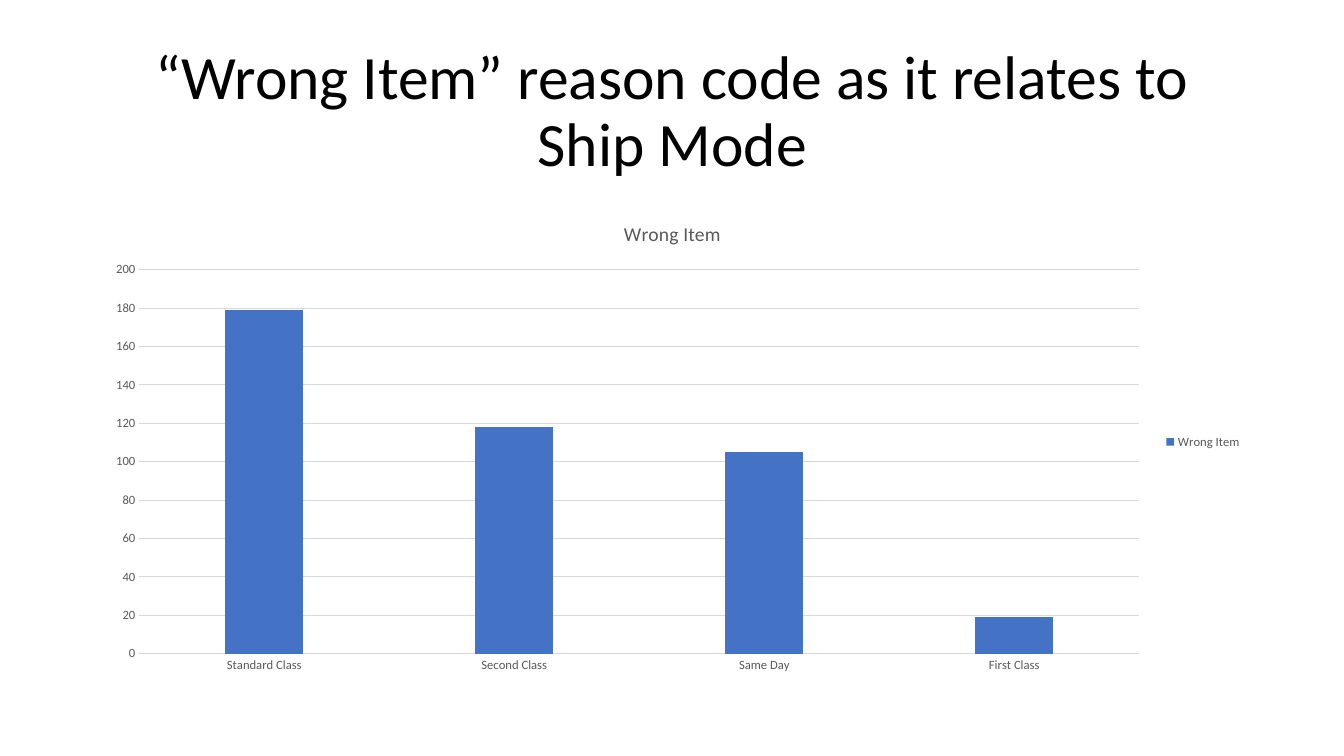
import pptx
import pptx.chart.data
import pptx.dml.color
import pptx.enum.chart
import pptx.enum.text
import pptx.util
from dataclasses import dataclass

EMU_PER_PX = 914400 / 100.8


@dataclass(frozen=True)
class Theme:
    font: str = "Calibri"
    ink: str = "000000"
    muted: str = "595959"
    grid: str = "D9D9D9"
    bar: str = "4472C4"
    heading_size: int = 44
    chart_title_size: int = 14
    label_size: int = 9


theme = Theme()


def px(length):
    return pptx.util.Emu(round(length * EMU_PER_PX))


def write_text(frame, text, *, size, color, spacing=None):
    frame.text = text
    paragraph = frame.paragraphs[0]
    paragraph.alignment = pptx.enum.text.PP_ALIGN.CENTER
    paragraph.line_spacing = spacing
    font = paragraph.runs[0].font
    font.name = theme.font
    font.size = pptx.util.Pt(size)
    font.bold = False
    font.color.rgb = pptx.dml.color.RGBColor.from_string(color)


# Slide
presentation = pptx.Presentation()
presentation.slide_width = px(1344)
presentation.slide_height = px(756)
slide = presentation.slides.add_slide(presentation.slide_layouts[5])

# Title
title = slide.shapes.title
title.left, title.top, title.width, title.height = px(93), px(40), px(1159), px(146)
title.text_frame.word_wrap = True
title.text_frame.auto_size = pptx.enum.text.MSO_AUTO_SIZE.NONE
title.text_frame.vertical_anchor = pptx.enum.text.MSO_ANCHOR.MIDDLE
write_text(title.text_frame, "“Wrong Item” reason code as it relates to Ship Mode",
           size=theme.heading_size, color=theme.ink, spacing=0.9)

# Chart data
chart_data = pptx.chart.data.CategoryChartData()
chart_data.categories = ["Standard Class", "Second Class", "Same Day", "First Class"]
chart_data.add_series("Wrong Item", [179, 118, 105, 19])
chart = slide.shapes.add_chart(
    pptx.enum.chart.XL_CHART_TYPE.COLUMN_CLUSTERED,
    px(93), px(202), px(1159), px(480), chart_data).chart

# Chart text and legend
chart.font.name = theme.font
chart.font.size = pptx.util.Pt(theme.label_size)
chart.font.color.rgb = pptx.dml.color.RGBColor.from_string(theme.muted)
chart.has_title = True
write_text(chart.chart_title.text_frame, "Wrong Item",
           size=theme.chart_title_size, color=theme.muted)
chart.chart_title.include_in_layout = False
chart.has_legend = True
chart.legend.position = pptx.enum.chart.XL_LEGEND_POSITION.RIGHT
chart.legend.include_in_layout = False

# Columns
plot = chart.plots[0]
plot.vary_by_categories = False
plot.gap_width = 219
plot.overlap = -27
bar_fill = plot.series[0].format.fill
bar_fill.solid()
bar_fill.fore_color.rgb = pptx.dml.color.RGBColor.from_string(theme.bar)

# Axes and gridlines
category_axis, value_axis = chart.category_axis, chart.value_axis
for axis in (category_axis, value_axis):
    axis.major_tick_mark = pptx.enum.chart.XL_TICK_MARK.NONE
    axis.minor_tick_mark = pptx.enum.chart.XL_TICK_MARK.NONE
value_axis.minimum_scale = 0
value_axis.maximum_scale = 200
value_axis.major_unit = 20
value_axis.has_major_gridlines = True
value_axis.format.line.fill.background()
for line in (category_axis.format.line, value_axis.major_gridlines.format.line):
    line.color.rgb = pptx.dml.color.RGBColor.from_string(theme.grid)
    line.width = pptx.util.Pt(0.75)

presentation.save("out.pptx")
